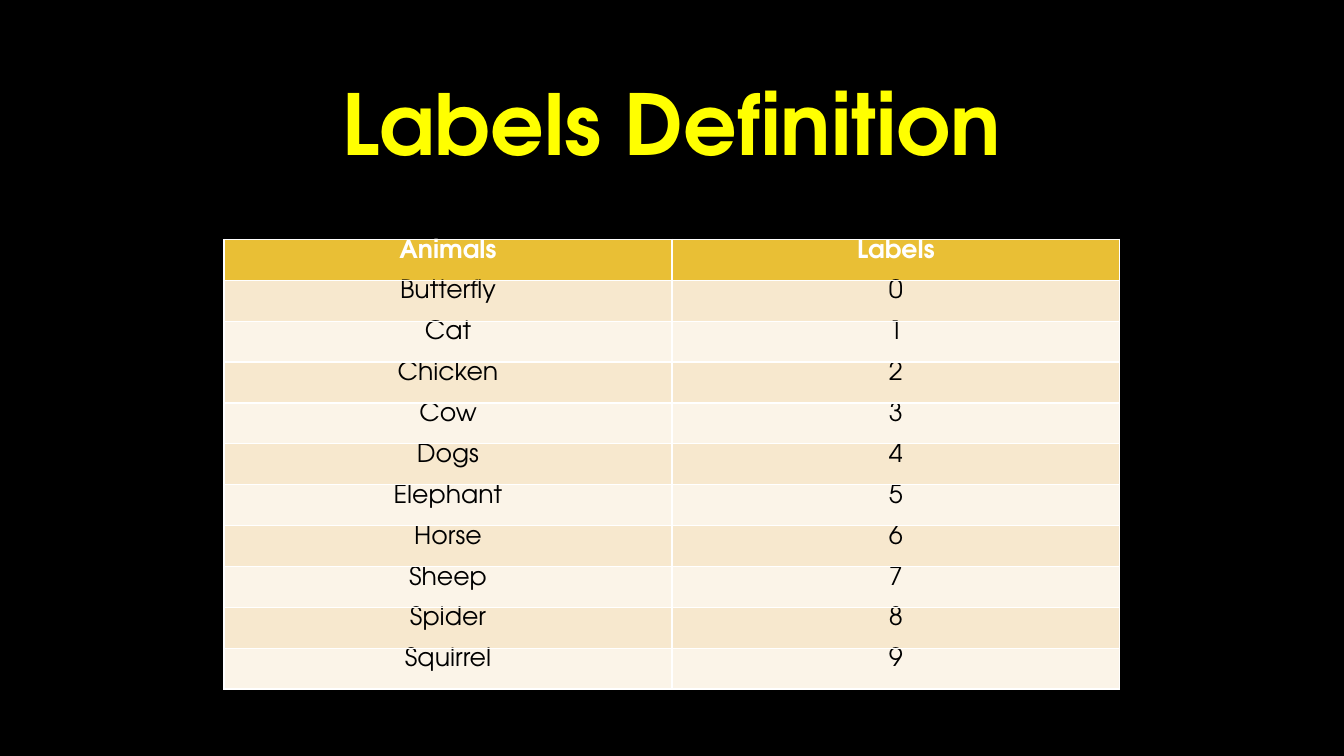
"""Build the slide that maps each animal to its numeric label."""
from typing import NamedTuple

from lxml import etree
from pptx import Presentation
from pptx.dml.color import RGBColor
from pptx.enum.text import MSO_ANCHOR, PP_ALIGN
from pptx.oxml.ns import qn
from pptx.util import Pt

CENTER = PP_ALIGN.CENTER
TOP = MSO_ANCHOR.TOP
FONT = "TeX Gyre Adventor"
TITLE_ONLY_LAYOUT = 5
COLUMN_WIDTH = 320
ROW_HEIGHT = 29.2
BORDER_WIDTH = 1
BORDER_COLOR = "FFFFFF"
HEADINGS = ("Animals", "Labels")
ANIMALS = ("Butterfly", "Cat", "Chicken", "Cow", "Dogs", "Elephant",
           "Horse", "Sheep", "Spider", "Squirrel")


class TextStyle(NamedTuple):
    size: float
    color: str
    bold: bool


class RowStyle(NamedTuple):
    fill: str
    text: TextStyle


TITLE_TEXT = TextStyle(60, "FFFF00", True)
BODY_TEXT = TextStyle(18, "000000", False)
HEADER_ROW = RowStyle("E9BF35", TextStyle(18, "FFFFFF", True))
BANDED_ROWS = (RowStyle("F7E8CE", BODY_TEXT), RowStyle("FBF4E8", BODY_TEXT))


def paint(fill, color: str) -> None:
    fill.solid()
    fill.fore_color.rgb = RGBColor.from_string(color)


def write_text(text_frame, text: str, style: TextStyle) -> None:
    text_frame.text = text
    paragraph = text_frame.paragraphs[0]
    paragraph.alignment = CENTER
    paragraph.font.name = FONT
    paragraph.font.size = Pt(style.size)
    paragraph.font.bold = style.bold
    paint(paragraph.font.fill, style.color)


def add_borders(cell) -> None:
    properties = cell._tc.get_or_add_tcPr()
    for position, side in enumerate(("a:lnL", "a:lnR", "a:lnT", "a:lnB")):
        line = etree.Element(qn(side), w=str(Pt(BORDER_WIDTH)))
        solid_fill = etree.SubElement(line, qn("a:solidFill"))
        etree.SubElement(solid_fill, qn("a:srgbClr"), val=BORDER_COLOR)
        properties.insert(position, line)


def fill_cell(cell, text: str, style: RowStyle) -> None:
    cell.margin_top = cell.margin_bottom = Pt(0)
    cell.vertical_anchor = TOP
    paint(cell.fill, style.fill)
    write_text(cell.text_frame, text, style.text)
    add_borders(cell)


def add_title(slide) -> None:
    title = slide.shapes.title
    title.left, title.top = Pt(82.8), Pt(47.5)
    title.width, title.height = Pt(794), Pt(128)
    title.text_frame.vertical_anchor = TOP
    write_text(title.text_frame, "Labels Definition", TITLE_TEXT)


def add_label_table(slide) -> None:
    rows = [HEADINGS] + [(animal, str(label)) for label, animal in enumerate(ANIMALS)]
    table = slide.shapes.add_table(
        len(rows), len(HEADINGS), Pt(160), Pt(171),
        Pt(COLUMN_WIDTH * len(HEADINGS)), Pt(ROW_HEIGHT * len(rows))).table
    for column in table.columns:
        column.width = Pt(COLUMN_WIDTH)
    for row_index, texts in enumerate(rows):
        table.rows[row_index].height = Pt(ROW_HEIGHT)
        style = BANDED_ROWS[(row_index - 1) % 2] if row_index else HEADER_ROW
        for column_index, text in enumerate(texts):
            fill_cell(table.cell(row_index, column_index), text, style)


def main() -> None:
    presentation = Presentation()
    presentation.slide_width, presentation.slide_height = Pt(960), Pt(540)
    slide = presentation.slides.add_slide(presentation.slide_layouts[TITLE_ONLY_LAYOUT])
    paint(slide.background.fill, "000000")
    add_title(slide)
    add_label_table(slide)
    presentation.save("out.pptx")


if __name__ == "__main__":
    main()
